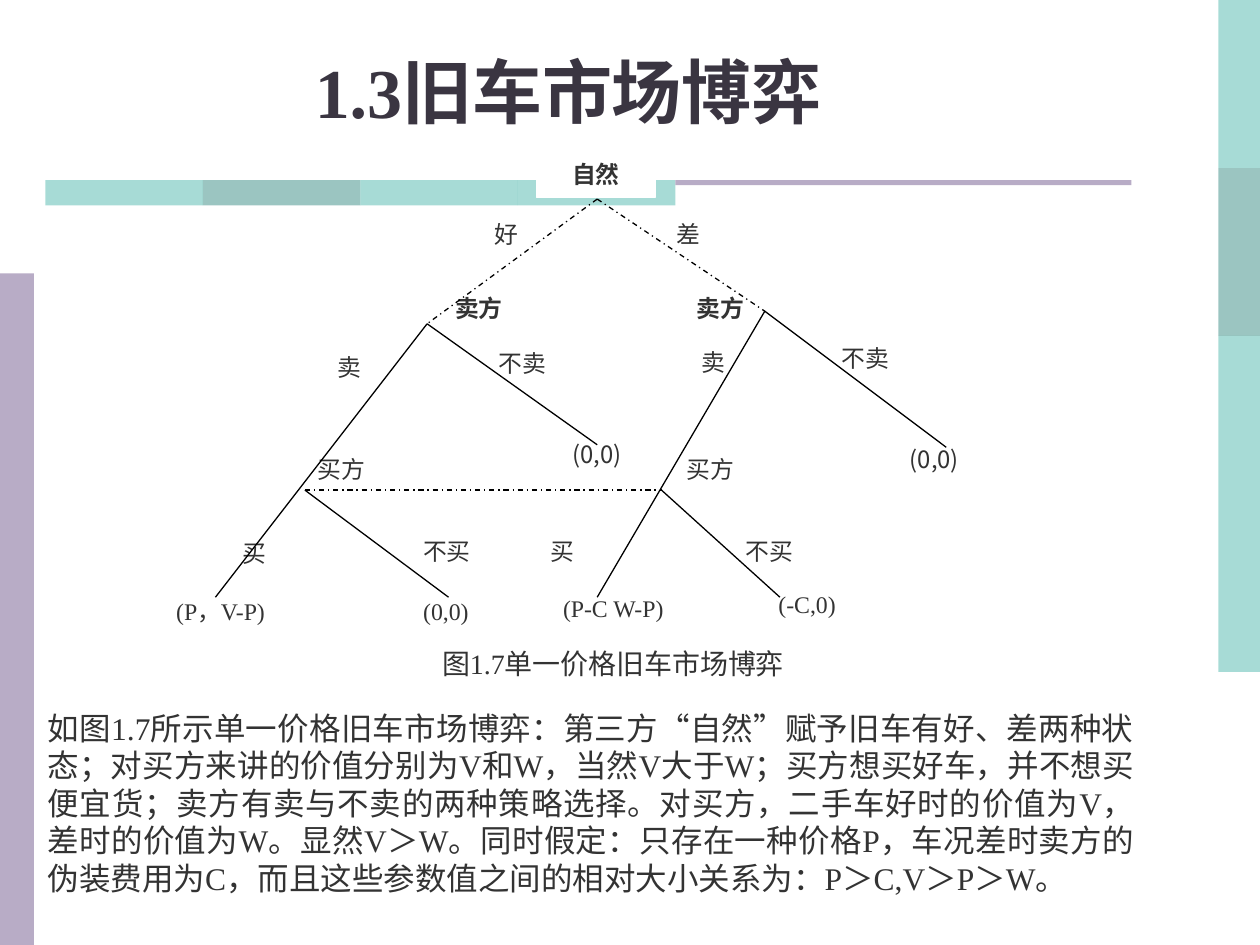
from dataclasses import dataclass

from lxml.etree import SubElement
from pptx import Presentation
from pptx.dml.color import RGBColor
from pptx.enum.dml import MSO_LINE
from pptx.enum.shapes import MSO_CONNECTOR, MSO_SHAPE
from pptx.enum.text import MSO_ANCHOR, PP_ALIGN
from pptx.oxml.ns import qn
from pptx.util import Inches, Pt


@dataclass(frozen=True)
class Theme:
    serif: str = "Times New Roman"
    sans: str = "Noto Sans CJK SC"
    title_size: float = 40
    body_size: float = 18
    caption_size: float = 16
    label_size: float = 13.6
    title_pitch: float = 46
    body_pitch: float = 21.4
    caption_pitch: float = 18.9
    label_pitch: float = 15.5
    line_width: float = 0.75
    title: str = "3A3541"
    text: str = "333333"
    white: str = "FFFFFF"
    black: str = "000000"
    teal: str = "51B9AF"
    dark_teal: str = "398D85"
    lilac: str = "B8ACC6"


THEME = Theme()
LEFT, CENTER, RIGHT, JUSTIFY = PP_ALIGN.LEFT, PP_ALIGN.CENTER, PP_ALIGN.RIGHT, PP_ALIGN.JUSTIFY

LABELS = [
    ("买方", 5.17, 3.57, 0.94, CENTER),
    ("买方", 2.24, 3.57, 0.94, CENTER),
    ("卖方", 5.25, 2.29, 0.94, CENTER),
    ("卖方", 3.33, 2.29, 0.94, CENTER),
    ("自然", 4.26, 1.23, 0.94, CENTER),
    ("(-C,0)", 6.08, 4.66, 1.04, JUSTIFY),
    ("卖", 5.25, 2.72, 0.82, CENTER),
    ("(0,0)", 4.23, 3.47, 1.02, CENTER),
    ("(P-C W-P)", 4.37, 4.69, 1.52, JUSTIFY),
    ("(0,0)", 3.26, 4.71, 0.92, JUSTIFY),
    ("(P，V-P)", 1.3, 4.7, 1.52, JUSTIFY),
    ("不买", 5.72, 4.22, 0.77, CENTER),
    ("不买", 3.26, 4.22, 0.92, JUSTIFY),
    ("买", 4.27, 4.22, 0.71, JUSTIFY),
    ("买", 1.83, 4.24, 0.82, JUSTIFY),
    ("不卖", 6.58, 2.69, 1.02, JUSTIFY),
    ("不卖", 3.86, 2.73, 1.13, JUSTIFY),
    ("卖", 2.58, 2.76, 0.82, JUSTIFY),
    ("差", 5.27, 1.71, 0.82, JUSTIFY),
    ("好", 3.39, 1.71, 0.82, RIGHT),
    ("(0,0)", 6.87, 3.51, 1.09, CENTER),
]
BOLD_LABELS = {"自然", "卖方"}

NATURE = (4.74, 1.58)
GOOD_SELLER, BAD_SELLER = (3.39, 2.57), (6.07, 2.47)
GOOD_BUYER, BAD_BUYER = (2.42, 3.89), (5.25, 3.89)
DASHED_BRANCHES = [(GOOD_BUYER, BAD_BUYER), (NATURE, GOOD_SELLER), (NATURE, BAD_SELLER)]
SOLID_BRANCHES = [
    (GOOD_SELLER, (4.74, 3.53)),
    (BAD_SELLER, (4.74, 4.74)),
    (BAD_BUYER, (6.19, 4.74)),
    (GOOD_BUYER, (3.56, 4.74)),
    (GOOD_SELLER, (1.71, 4.74)),
    (BAD_SELLER, (7.51, 3.55)),
]

BODY = (
    "如图1.7所示单一价格旧车市场博弈：第三方“自然”赋予旧车有好、差两种状态；"
    "对买方来讲的价值分别为V和W，当然V大于W；买方想买好车，并不想买便宜货；"
    "卖方有卖与不卖的两种策略选择。对买方，二手车好时的价值为V，差时的价值为W。"
    "显然V＞W。同时假定：只存在一种价格P，车况差时卖方的伪装费用为C，"
    "而且这些参数值之间的相对大小关系为：P＞C,V＞P＞W。"
)


def add_block(page, left, top, width, height, color, alpha=100):
    block = page.shapes.add_shape(
        MSO_SHAPE.RECTANGLE, Inches(left), Inches(top), Inches(width), Inches(height)
    )
    block.shadow.inherit = False
    block.fill.solid()
    block.fill.fore_color.rgb = RGBColor.from_string(color)
    block.line.fill.background()
    if alpha < 100:
        tint = block.fill._xPr.find(qn("a:solidFill"))[0]
        SubElement(tint, qn("a:alpha")).set("val", str(alpha * 1000))
    return block


def write(box, text, size, align, spacing, color=THEME.text, font=THEME.serif, bold=False):
    box.text_frame.text = text
    para = box.text_frame.paragraphs[0]
    para.alignment = align
    para.line_spacing = spacing
    for span in para.runs:
        span.font.size = Pt(size)
        span.font.bold = bold
        span.font.color.rgb = RGBColor.from_string(color)
        span.font.name = font
        SubElement(span.font._element, qn("a:ea")).set("typeface", THEME.sans)


def add_text(page, left, top, width, height, text, size, align, pitch, wrap=True, **style):
    box = page.shapes.add_textbox(Inches(left), Inches(top), Inches(width), Inches(height))
    box.text_frame.word_wrap = wrap
    write(box, text, size, align, Pt(pitch), **style)
    return box


def add_label(page, text, left, top, width, align):
    label = add_block(page, left, top, width, 0.34, THEME.white)
    label.line.color.rgb = RGBColor.from_string(THEME.white)
    label.line.width = Pt(THEME.line_width)
    label.text_frame.vertical_anchor = MSO_ANCHOR.TOP
    label.text_frame.word_wrap = True
    is_middle_payoff = text == "(0,0)" and align == CENTER
    font = THEME.sans if is_middle_payoff else THEME.serif
    spacing = 0.9 if text.isascii() else Pt(THEME.label_pitch)
    write(label, text, THEME.label_size, align, spacing, font=font, bold=text in BOLD_LABELS)


def add_branch(page, start, end, dashed=False):
    branch = page.shapes.add_connector(
        MSO_CONNECTOR.STRAIGHT, *(Inches(value) for value in (*start, *end))
    )
    branch.line.color.rgb = RGBColor.from_string(THEME.black)
    branch.line.width = Pt(THEME.line_width)
    if dashed:
        branch.line.dash_style = MSO_LINE.DASH_DOT
    SubElement(branch._element.spPr, qn("a:effectLst"))


def add_decoration(page):
    for index in range(4):
        color = THEME.dark_teal if index == 1 else THEME.teal
        add_block(page, 9.67, index * 4 / 3, 0.33, 4 / 3, color, alpha=50)
        add_block(page, 0.36 + index * 1.25, 1.43, 1.25, 0.2, color, alpha=50)
    add_block(page, 0, 2.17, 0.27, 5.33, THEME.lilac)
    add_block(page, 5.36, 1.43, 3.62, 0.04, THEME.lilac)


def add_game_tree(page):
    for label in LABELS:
        add_label(page, *label)
    for start, end in DASHED_BRANCHES:
        add_branch(page, start, end, dashed=True)
    for start, end in SOLID_BRANCHES:
        add_branch(page, start, end)


def main():
    deck = Presentation()
    deck.slide_width, deck.slide_height = Inches(10), Inches(7.5)
    page = deck.slides.add_slide(deck.slide_layouts[6])
    add_decoration(page)
    add_text(page, 0.28, 5.58, 8.82, 1.9, BODY, THEME.body_size, JUSTIFY, THEME.body_pitch)
    title = add_text(page, 0, 0.24, 9.02, 0.86, "1.3旧车市场博弈", THEME.title_size, CENTER,
                     THEME.title_pitch, color=THEME.title, bold=True)
    title.text_frame.vertical_anchor = MSO_ANCHOR.BOTTOM
    add_game_tree(page)
    add_text(page, 3.41, 5.09, 3.02, 0.37, "图1.7单一价格旧车市场博弈", THEME.caption_size, LEFT,
             THEME.caption_pitch, wrap=False)
    deck.save("out.pptx")


if __name__ == "__main__":
    main()
